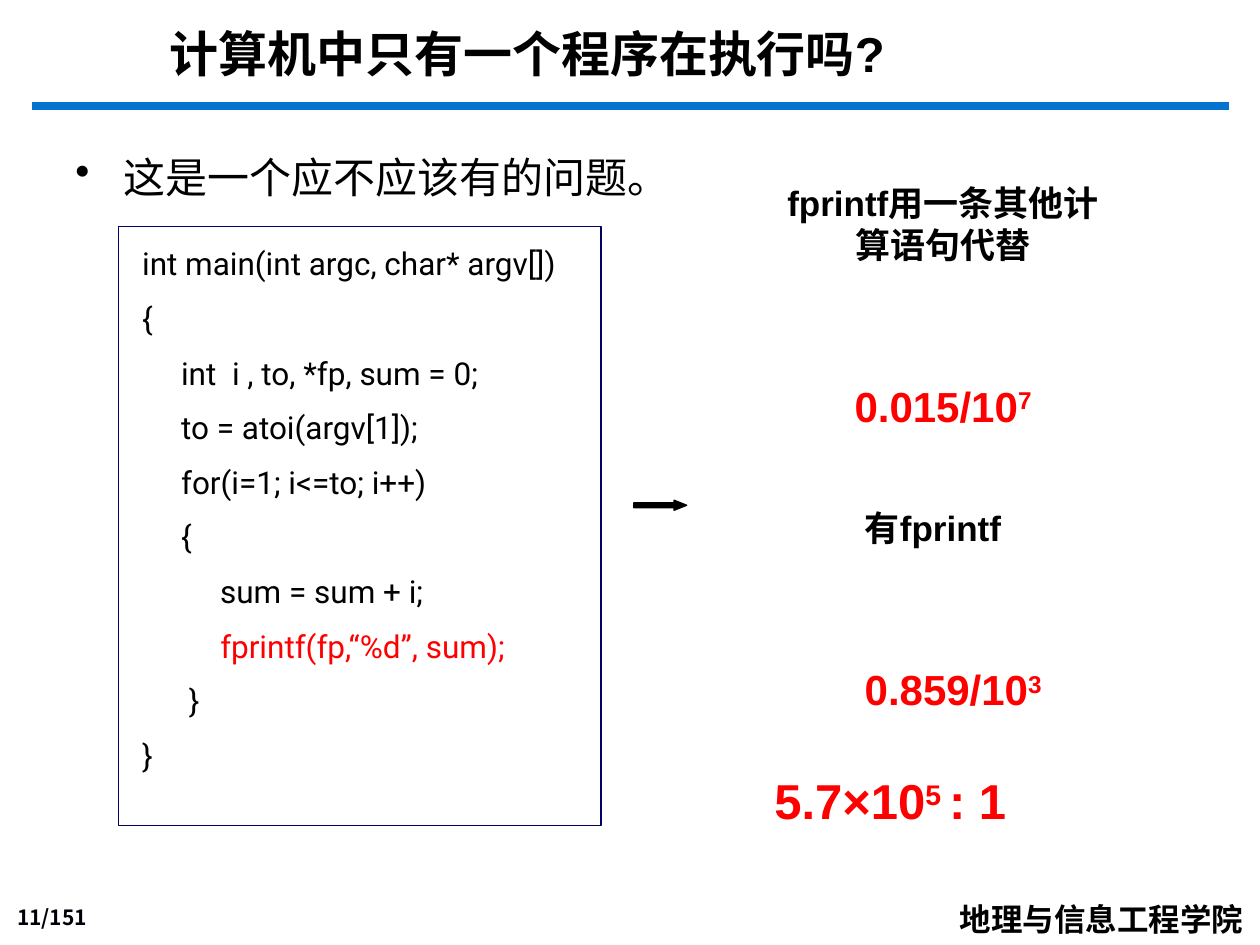
import pptx
import pptx.dml.color
import pptx.enum.shapes
import pptx.enum.text
import pptx.oxml
import pptx.oxml.ns
import pptx.util
from lxml import etree
from pptx.util import Inches

COLORS = {"black": "000000", "red": "FF0000", "white": "FFFFFF",
          "rule": "0574D0", "frame": "000066", "number": "000008"}
CJK_FONT = "Noto Sans CJK SC"
ALIGN = pptx.enum.text.PP_ALIGN
ANCHOR = pptx.enum.text.MSO_ANCHOR
SHAPE = pptx.enum.shapes.MSO_SHAPE
CODE = [
    [("int main(int argc, char* argv[])", {})],
    [("{", {})],
    [("     int  i , to, *fp, sum = 0;", {})],
    [("     to = atoi(argv[1]);", {})],
    [("     for(i=1; i<=to; i++)", {})],
    [("     {", {})],
    [("          sum = sum + i;", {})],
    [("          ", {}), ("fprintf(fp,“%d”, sum);", {"color": "red"})],
    [("      }", {})],
    [("}", {})],
]
RESULTS = [
    ((6.11, 1.39, 2.75, 0.77), 20, "black", [("fprintf用一条其他计算语句代替", {})]),
    ((6.03, 3.97, 2.75, 0.43), 20, "black", [("有fprintf", {})]),
    ((6.11, 2.97, 2.75, 0.5), 24, "red", [("0.015/10", {}), ("7", {"raised": True})]),
    ((6.19, 5.22, 2.75, 0.5), 24, "red", [("0.859/10", {}), ("3", {"raised": True})]),
    ((5.69, 6.07, 2.75, 0.57), 28, "red",
     [("5.7×10", {}), ("5 ", {"raised": True}), (": 1", {})]),
]


def rgb(name):
    """Return the palette colour with this name."""
    return pptx.dml.color.RGBColor.from_string(COLORS[name])


def add_span(para, text, size, color="black", font="Arial", bold=False, raised=False):
    """Add one formatted run to a paragraph."""
    span = para.add_run()
    span.text = text
    for key, value in {"size": pptx.util.Pt(size), "bold": bold, "name": font}.items():
        setattr(span.font, key, value)
    span.font.color.rgb = rgb(color)
    properties = span.font._element
    east_asian = etree.SubElement(properties, pptx.oxml.ns.qn("a:ea"))
    east_asian.set("typeface", CJK_FONT)
    if raised:
        properties.set("baseline", "30000")


def add_text(shapes, box, lines, frame=None, para_format=None, **style):
    """Place a text box holding lines of (text, style) spans."""
    text_box = shapes.add_textbox(*map(Inches, box))
    text_frame = text_box.text_frame
    for key, value in {"word_wrap": True, **(frame or {})}.items():
        setattr(text_frame, key, value)
    for index, line in enumerate(lines):
        para = text_frame.add_paragraph() if index else text_frame.paragraphs[0]
        for key, value in (para_format or {}).items():
            if index or key != "space_before":
                setattr(para, key, value)
        for text, extra in line:
            add_span(para, text, **{**style, **extra})
    return text_box


def add_block(shapes, preset, box, fill, line):
    """Place a filled preset shape with a thin outline."""
    block = shapes.add_shape(preset, *map(Inches, box))
    block.shadow.inherit = False
    block.fill.solid()
    block.fill.fore_color.rgb = rgb(fill)
    block.line.color.rgb = rgb(line)
    block.line.width = pptx.util.Pt(0.75)
    return block


def add_header(page, box):
    """Place the title and the rule below it."""
    left, top, width, height = box
    rule_top = Inches(top + height)
    rule = page.shapes.add_connector(
        pptx.enum.shapes.MSO_CONNECTOR.STRAIGHT,
        Inches(left), rule_top, Inches(left + width), rule_top)
    rule.line.color.rgb = rgb("rule")
    rule.line.width = pptx.util.Pt(4.5)
    etree.SubElement(rule._element.spPr, pptx.oxml.ns.qn("a:effectLst"))
    add_text(page.shapes, (left + 1, top, 6.47, 0.61),
             [[("计算机中只有一个程序在执行吗?", {})]], size=28, bold=True)


def add_statement(page, box):
    """Place the bulleted statement."""
    statement = add_text(page.shapes, box, [[("这是一个应不应该有的问题。", {})]],
                         para_format={"line_spacing": 1.3}, size=24)
    properties = statement.text_frame.paragraphs[0]._p.get_or_add_pPr()
    properties.set("marL", str(Inches(0.38)))
    properties.set("indent", str(-Inches(0.38)))
    bullet = etree.SubElement(properties, pptx.oxml.ns.qn("a:buChar"))
    bullet.set("char", "•")


def add_code(page, box):
    """Place the framed program listing."""
    left, top, width, height = box
    group = page.shapes.add_group_shape()
    add_block(group.shapes, SHAPE.RECTANGLE, box, "white", "frame")
    add_text(group.shapes, (left + 0.09, top + 0.09, 4, 4.46), CODE,
             para_format={"space_before": pptx.util.Pt(9.6)}, size=18, font="Roboto")


def add_arrow(page, box):
    """Place the arrow from the code to the results."""
    arrow = add_block(page.shapes, SHAPE.RIGHT_ARROW, box, "black", "black")
    arrow.adjustments[0] = 0.5
    arrow.adjustments[1] = 1.25


def add_results(page):
    """Place the timing labels and values."""
    for box, size, color, line in RESULTS:
        add_text(page.shapes, box, [line], para_format={"alignment": ALIGN.CENTER},
                 size=size, color=color, bold=True)


def add_footer(page, number_box, school_box):
    """Place the page number and the school name."""
    add_text(page.shapes, number_box, [[("11/151", {})]],
             frame={"vertical_anchor": ANCHOR.BOTTOM},
             para_format={"alignment": ALIGN.RIGHT},
             size=12, color="number", font="Noto Sans CJK JP", bold=True)
    add_text(page.shapes, school_box, [[("地理与信息工程学院", {})]],
             frame={"word_wrap": False}, size=18, font=CJK_FONT, bold=True)


def main():
    """Build and save the deck."""
    deck = pptx.Presentation()
    deck.slide_width, deck.slide_height = Inches(10), Inches(7.5)
    page = deck.slides.add_slide(deck.slide_layouts[6])
    add_header(page, (0.25, 0.14, 9.5, 0.7))
    add_footer(page, (0, 7.14, 0.79, 0.29), (7.52, 7.09, 2.47, 0.4))
    add_statement(page, (0.5, 1.03, 8.66, 0.51))
    add_code(page, (0.94, 1.8, 3.83, 4.75))
    add_arrow(page, (5.03, 3.97, 0.42, 0.08))
    add_results(page)
    deck.save("out.pptx")


if __name__ == "__main__":
    main()
